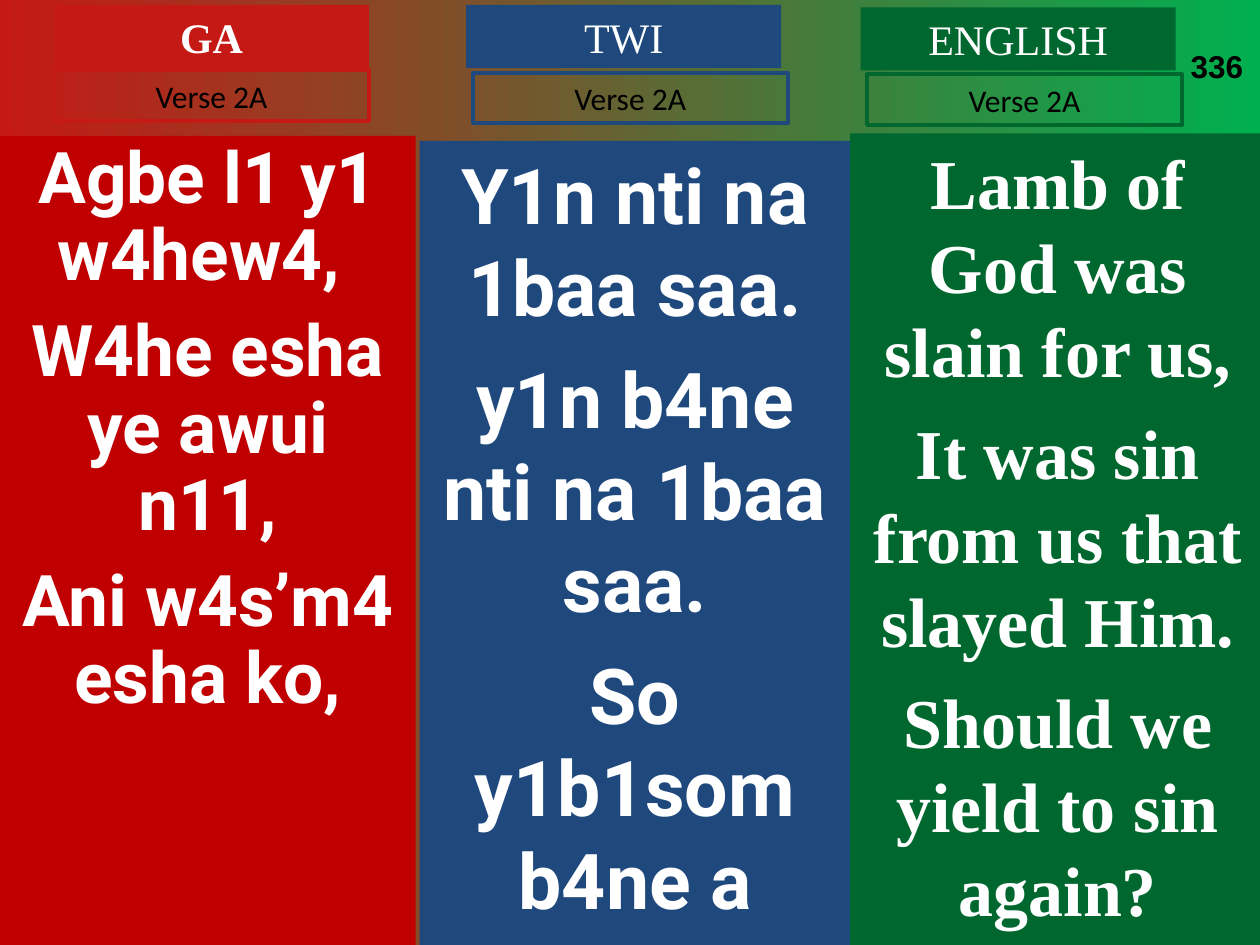
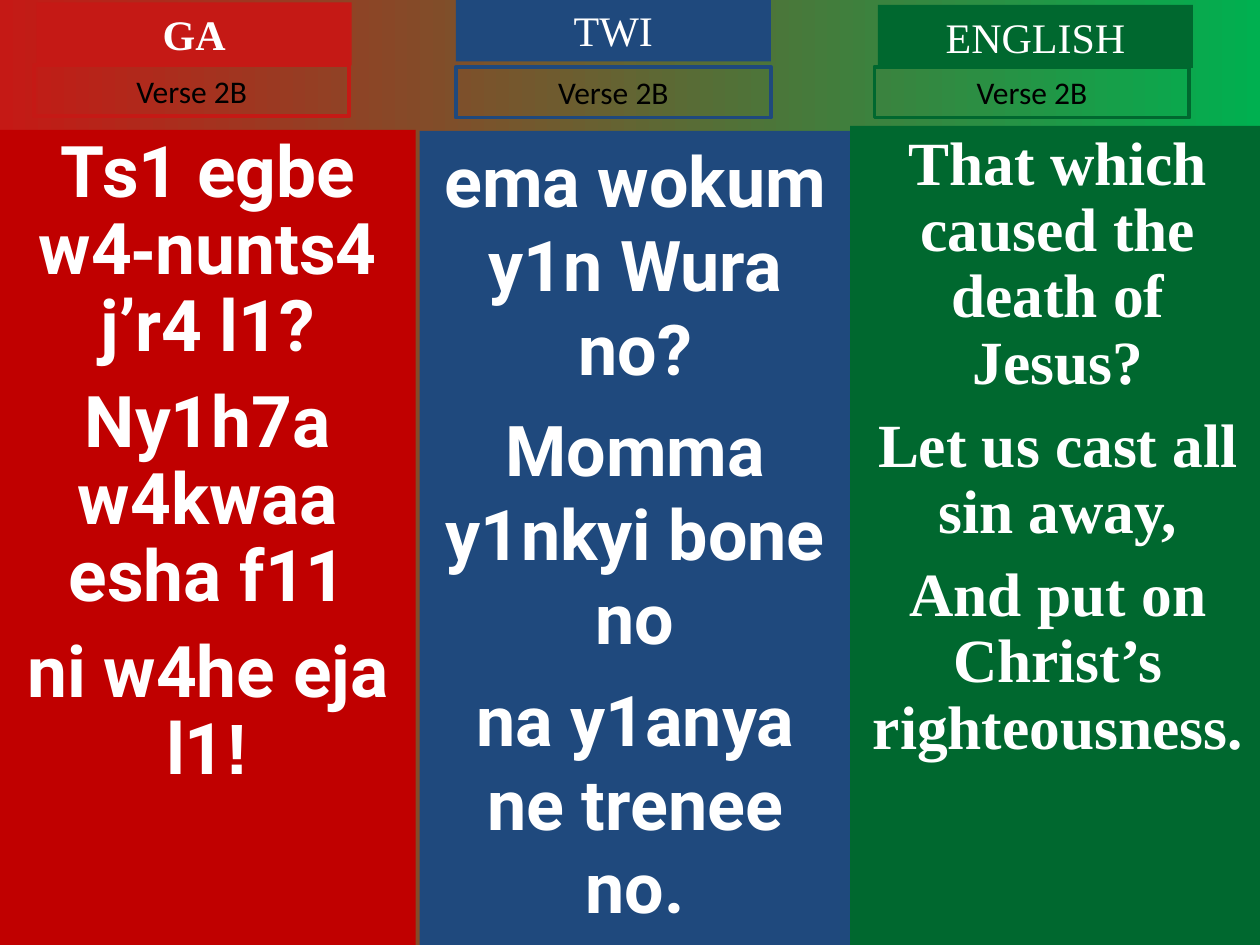
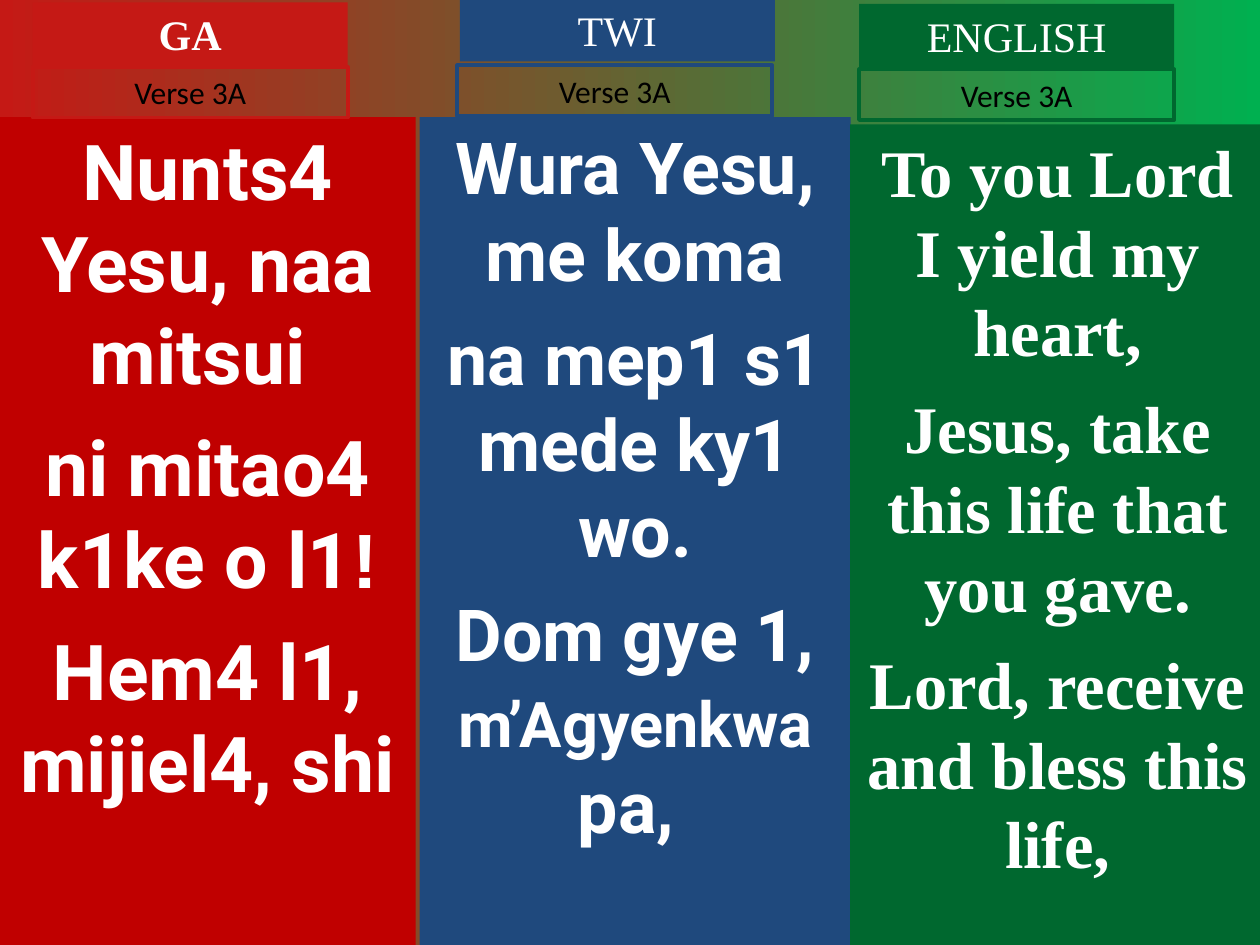
from dataclasses import dataclass

from pptx import Presentation
from pptx.dml.color import RGBColor
from pptx.enum.shapes import MSO_SHAPE
from pptx.enum.text import MSO_ANCHOR, PP_ALIGN
from pptx.shapes.autoshape import Shape
from pptx.slide import Slide
from pptx.text.text import Font
from pptx.util import Cm, Pt

RECTANGLE = MSO_SHAPE.RECTANGLE
TOP, MIDDLE, BOTTOM = MSO_ANCHOR.TOP, MSO_ANCHOR.MIDDLE, MSO_ANCHOR.BOTTOM
CENTER = PP_ALIGN.CENTER

SLIDE_WIDTH, SLIDE_HEIGHT = 25.4, 19.05
LABEL_WIDTH, HEADING_HEIGHT, VERSE_HEIGHT = 6.35, 1.27, 1.02


@dataclass(frozen=True)
class Theme:
    red: str = "C51915"
    dark_red: str = "C00000"
    blue: str = "1F497D"
    green: str = "00682F"
    light_green: str = "00B050"
    white: str = "FFFFFF"
    black: str = "000000"
    sans: str = "Roboto"
    serif: str = "Times New Roman"
    label: str = "Calibri"
    plain: str = "Arial"
    heading_size: float = 24
    verse_size: float = 18
    outline: float = 2.25


THEME = Theme()


@dataclass(frozen=True)
class Language:
    name: str
    accent: str
    panel_color: str
    font: str
    left: float
    width: float
    bold_heading: bool = False


GA = Language("GA", THEME.red, THEME.dark_red, THEME.sans, 0, 8.38, True)
TWI = Language("TWI", THEME.blue, THEME.blue, THEME.sans, 8.46, 8.69)
ENGLISH = Language("ENGLISH", THEME.green, THEME.green, THEME.serif, 17.14, 8.37)


@dataclass(frozen=True)
class Part:
    """A piece of a lyric line that differs from the rest in font or size."""
    text: str
    font: str | None = None
    size: float | None = None


@dataclass(frozen=True)
class Column:
    language: Language
    heading: tuple[float, float]
    verse: tuple[float, float]
    panel_top: float
    size: float
    space_before: float
    lines: list[list[str | Part]]
    line_spacing: float | None = None


@dataclass(frozen=True)
class Verse:
    label: str
    columns: list[Column]
    hymn_number: str = ""


VERSES = [
    Verse("Verse 2A", [
        Column(GA, (1.09, 0.1), (1.09, 1.42), 2.74, 40.7, 11, [
            ["Agbe l1 y1 w4hew4, "],
            ["W4he esha ye awui n11,"],
            ["Ani w4s’m4 esha ko,"],
        ], 0.9),
        Column(TWI, (9.4, 0.1), (9.53, 1.47), 2.84, 44, 11, [
            ["Y1n nti na 1baa saa."],
            ["y1n b4ne nti na 1baa saa."],
            ["So y1b1som b4ne a"],
        ]),
        Column(ENGLISH, (17.35, 0.15), (17.48, 1.5), 2.69, 40, 10, [
            ["Lamb of God was slain for us,"],
            ["It was sin from us that slayed Him."],
            ["Should we yield to sin again?"],
        ]),
    ], "336"),
    Verse("Verse 2B", [
        Column(GA, (0.74, 0.05), (0.69, 1.32), 2.62, 40.7, 11, [
            ["Ts1 egbe w4", Part("-", THEME.plain), "nunts4 j’r4 l1?"],
            ["Ny1h7a w4kwaa esha f11"],
            ["ni w4he eja l1", Part("!", THEME.plain)],
        ], 0.9),
        Column(TWI, (9.19, -0.03), (9.19, 1.35), 2.64, 40, 10, [
            ["ema wokum y1n Wura no?"],
            ["Momma y1nkyi bone no"],
            ["na y1anya ne trenee no."],
        ]),
        Column(ENGLISH, (17.7, 0.1), (17.63, 1.35), 2.54, 35.1, 9.5, [
            ["That which caused the death of Jesus?"],
            ["Let us cast all sin away,"],
            ["And put on Christ’s righteousness."],
        ], 0.9),
    ]),
    Verse("Verse 3A", [
        Column(GA, (0.66, 0.05), (0.66, 1.35), 2.36, 44, 11, [
            ["Nunts4 Yesu, naa mitsui "],
            ["ni mitao4 k1ke o l1", Part("!", THEME.plain)],
            ["Hem4 l1, mijiel4, shi"],
        ]),
        Column(TWI, (9.27, -0.03), (9.22, 1.32), 2.36, 41, 10.3, [
            ["Wura Yesu, me koma"],
            ["na mep1 s1 mede ky1 wo."],
            ["Dom gye 1, ", Part("m’Agyenkwa", size=36), " pa, "],
        ]),
        Column(ENGLISH, (17.32, 0.08), (17.32, 1.4), 2.51, 38, 9.5, [
            ["To you Lord I yield my heart,"],
            ["Jesus, take this life that you gave."],
            ["Lord, receive and bless this life,"],
        ]),
    ]),
]


def style_font(font: Font, name: str, size: float, color: str, bold: bool) -> None:
    font.name = name
    font.size = Pt(size)
    font.bold = bold
    font.color.rgb = RGBColor.from_string(color)


def paint_background(slide: Slide) -> None:
    fill = slide.background.fill
    fill.gradient()
    fill.gradient_angle = 0
    for stop, color in zip(fill.gradient_stops, (THEME.red, THEME.light_green)):
        stop.color.rgb = RGBColor.from_string(color)
    fill.gradient_stops[0].position = 0
    fill.gradient_stops[1].position = 1


def add_rectangle(slide: Slide, left: float, top: float, width: float, height: float,
                  fill: str | None = None, line: str | None = None) -> Shape:
    shape = slide.shapes.add_shape(RECTANGLE, Cm(left), Cm(top), Cm(width), Cm(height))
    shape.shadow.inherit = False
    if fill:
        shape.fill.solid()
        shape.fill.fore_color.rgb = RGBColor.from_string(fill)
    else:
        shape.fill.background()
    if line:
        shape.line.color.rgb = RGBColor.from_string(line)
        shape.line.width = Pt(THEME.outline)
    else:
        shape.line.fill.background()
    shape.text_frame.word_wrap = True
    shape.text_frame.vertical_anchor = MIDDLE
    return shape


def write_label(shape: Shape, text: str, font: str, size: float, color: str,
                bold: bool = False) -> None:
    paragraph = shape.text_frame.paragraphs[0]
    paragraph.alignment = CENTER
    paragraph.add_run().text = text
    style_font(paragraph.font, font, size, color, bold)


def add_lyrics(slide: Slide, column: Column) -> None:
    language = column.language
    panel = add_rectangle(slide, language.left, column.panel_top, language.width,
                          SLIDE_HEIGHT - column.panel_top, fill=language.panel_color)
    frame = panel.text_frame
    frame.vertical_anchor = TOP
    for index, line in enumerate(column.lines):
        paragraph = frame.add_paragraph() if index else frame.paragraphs[0]
        paragraph.alignment = CENTER
        paragraph.line_spacing = column.line_spacing
        if index:
            paragraph.space_before = Pt(column.space_before)
        style_font(paragraph.font, language.font, column.size, THEME.white, True)
        for item in line:
            part = item if isinstance(item, Part) else Part(item)
            run = paragraph.add_run()
            run.text = part.text
            if part.font:
                run.font.name = part.font
            if part.size:
                run.font.size = Pt(part.size)


def add_labels(slide: Slide, column: Column, verse_label: str) -> None:
    language = column.language
    heading = add_rectangle(slide, *column.heading, LABEL_WIDTH, HEADING_HEIGHT,
                            fill=language.accent)
    write_label(heading, language.name, THEME.serif, THEME.heading_size, THEME.white,
                language.bold_heading)
    verse = add_rectangle(slide, *column.verse, LABEL_WIDTH, VERSE_HEIGHT,
                          line=language.accent)
    write_label(verse, verse_label, THEME.label, THEME.verse_size, THEME.black)


def add_hymn_number(slide: Slide, number: str) -> None:
    box = slide.shapes.add_textbox(Cm(23.75), Cm(0.05), Cm(1.7), Cm(1.78))
    box.text_frame.word_wrap = True
    box.text_frame.vertical_anchor = BOTTOM
    paragraph = box.text_frame.paragraphs[0]
    paragraph.add_run().text = number
    style_font(paragraph.font, THEME.plain, THEME.verse_size, THEME.black, True)


def main() -> None:
    presentation = Presentation()
    presentation.slide_width = Cm(SLIDE_WIDTH)
    presentation.slide_height = Cm(SLIDE_HEIGHT)
    blank_layout = presentation.slide_layouts[6]
    for verse in VERSES:
        slide = presentation.slides.add_slide(blank_layout)
        paint_background(slide)
        for column in verse.columns:
            add_lyrics(slide, column)
            add_labels(slide, column, verse.label)
        if verse.hymn_number:
            add_hymn_number(slide, verse.hymn_number)
    presentation.save("out.pptx")


if __name__ == "__main__":
    main()
